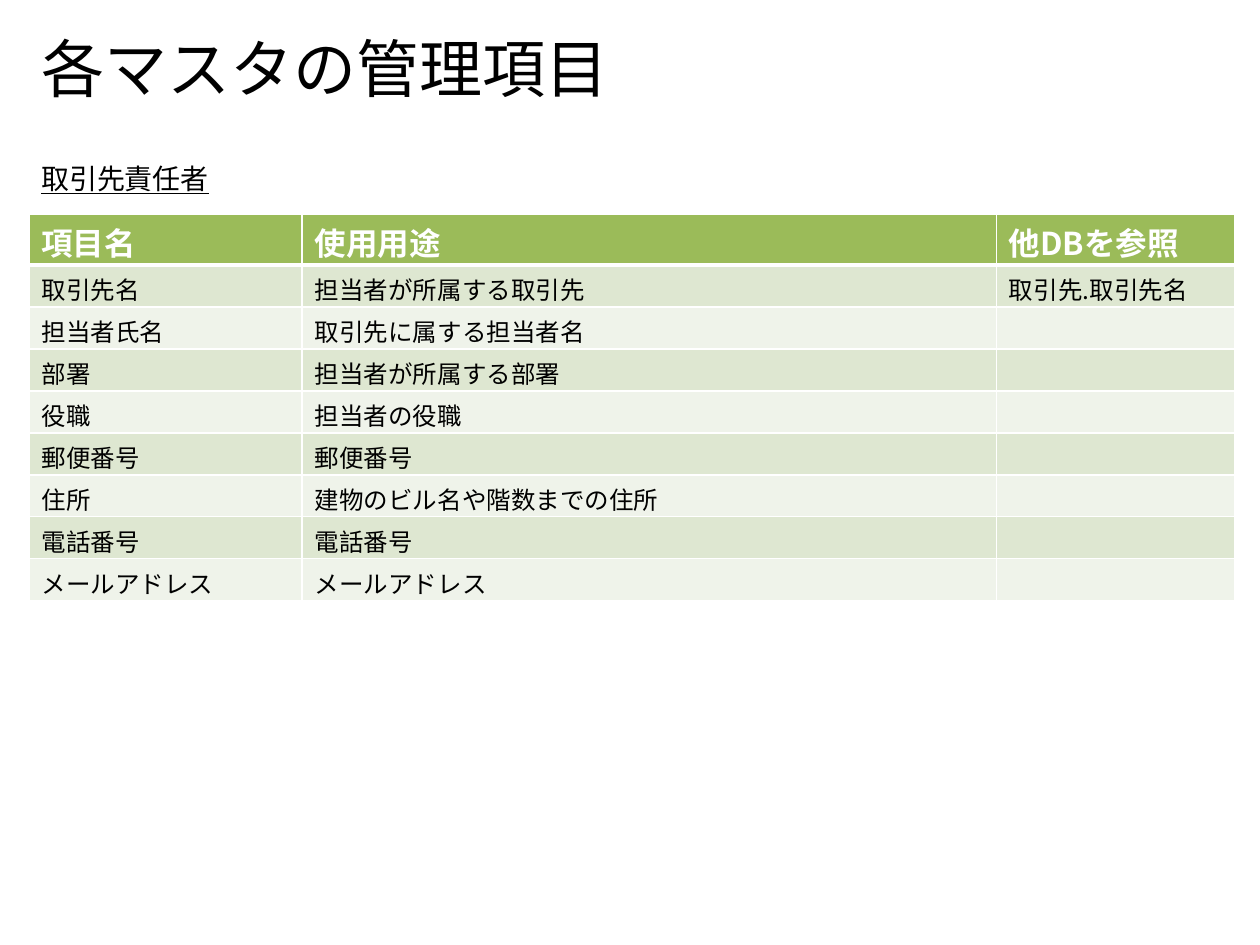
from dataclasses import dataclass
from lxml.etree import SubElement as Sub
from pptx import Presentation as Deck
from pptx.dml.color import RGBColor as Color
from pptx.enum.text import MSO_ANCHOR as Anchor, MSO_AUTO_SIZE as Fit
from pptx.oxml.ns import qn
from pptx.slide import Slide
from pptx.table import _Cell as Cell
from pptx.text.text import _Paragraph as Para
from pptx.util import Pt

BLACK = Color(0x00, 0x00, 0x00)
WHITE = Color(0xFF, 0xFF, 0xFF)
GREEN = Color(0x9B, 0xBB, 0x59)
SAGE = Color(0xDE, 0xE7, 0xD1)
MIST = Color(0xEF, 0xF3, 0xEA)
NOTO = "Noto Sans CJK JP"
LEFT = 16.5
WIDTHS = (156.2, 396.7, 136.1)
HEAD = ("項目名", "使用用途", "他DBを参照")
BODY = (
    ("取引先名", "担当者が所属する取引先", "取引先.取引先名"),
    ("担当者氏名", "取引先に属する担当者名", ""),
    ("部署", "担当者が所属する部署", ""),
    ("役職", "担当者の役職", ""),
    ("郵便番号", "郵便番号", ""),
    ("住所", "建物のビル名や階数までの住所", ""),
    ("電話番号", "電話番号", ""),
    ("メールアドレス", "メールアドレス", ""),
)


@dataclass(frozen=True)
class Style:
    size: float
    color: Color = BLACK
    face: str = NOTO
    bold: bool = False
    under: bool = False


@dataclass(frozen=True)
class Label:
    text: str
    top: float
    width: float
    height: float
    style: Style
    frame: dict


@dataclass(frozen=True)
class Band:
    height: float
    inset: float
    style: Style
    fills: tuple
    above: float = 1
    below: float = 1


LABELS = (
    Label("各マスタの管理項目", 10, 648, 57, Style(36, face="Calibri"),
          {"word_wrap": True, "vertical_anchor": Anchor.MIDDLE}),
    Label("取引先責任者", 88.5, 111.6, 26.6, Style(16, under=True),
          {"word_wrap": False, "auto_size": Fit.SHAPE_TO_FIT_TEXT}),
)
TOP = Band(28.8, 2.7, Style(18, WHITE, bold=True), (GREEN,), below=3)
FIRST = Band(24, 3.6, Style(14), (SAGE,), above=3)
REST = Band(24, 3.6, Style(14), (SAGE, MIST))


def write(para: Para, text: str, style: Style) -> None:
    if not text:
        Sub(para._p, qn("a:endParaRPr"), sz=str(style.size * 100))
        return
    run = para.add_run()
    run.text = text
    looks = {"size": Pt(style.size), "name": style.face,
             "bold": style.bold, "underline": style.under}
    for key, value in looks.items():
        setattr(run.font, key, value)
    run.font.color.rgb = style.color
    if style.face == NOTO:
        Sub(run._r.get_or_add_rPr(), qn("a:ea"), typeface=NOTO)


def place(slide: Slide, label: Label) -> None:
    box = slide.shapes.add_textbox(
        Pt(LEFT), Pt(label.top), Pt(label.width), Pt(label.height))
    for key, value in label.frame.items():
        setattr(box.text_frame, key, value)
    write(box.text_frame.paragraphs[0], label.text, label.style)


def edge(cell: Cell, band: Band) -> None:
    sides = {"lnL": 1, "lnR": 1, "lnT": band.above, "lnB": band.below}
    for side, width in sides.items():
        line = Sub(cell._tc.get_or_add_tcPr(), qn(f"a:{side}"), w=str(Pt(width)))
        Sub(Sub(line, qn("a:solidFill")), qn("a:srgbClr"), val=str(WHITE))


def paint(cell: Cell, text: str, band: Band, fill: Color) -> None:
    sides = {"margin_left": 7.2, "margin_right": 7.2,
             "margin_top": band.inset, "margin_bottom": 0}
    for key, value in sides.items():
        setattr(cell, key, Pt(value))
    edge(cell, band)
    cell.fill.solid()
    cell.fill.fore_color.rgb = fill
    write(cell.text_frame.paragraphs[0], text, band.style)


def chart(slide: Slide) -> None:
    rows = (HEAD, *BODY)
    bands = (TOP, FIRST, *[REST] * (len(BODY) - 1))
    tall = sum(band.height for band in bands)
    grid = slide.shapes.add_table(
        len(rows), len(WIDTHS), Pt(LEFT), Pt(122.6), Pt(sum(WIDTHS)), Pt(tall)).table
    for column, width in zip(grid.columns, WIDTHS):
        column.width = Pt(width)
    for index, (texts, band) in enumerate(zip(rows, bands)):
        grid.rows[index].height = Pt(band.height)
        fill = band.fills[(index - 1) % len(band.fills)]
        for cell, text in zip(grid.rows[index].cells, texts):
            paint(cell, text, band, fill)


def main() -> None:
    deck = Deck()
    deck.slide_width, deck.slide_height = Pt(720), Pt(540)
    slide = deck.slides.add_slide(deck.slide_layouts[6])
    for label in LABELS:
        place(slide, label)
    chart(slide)
    deck.save("out.pptx")


if __name__ == "__main__":
    main()
